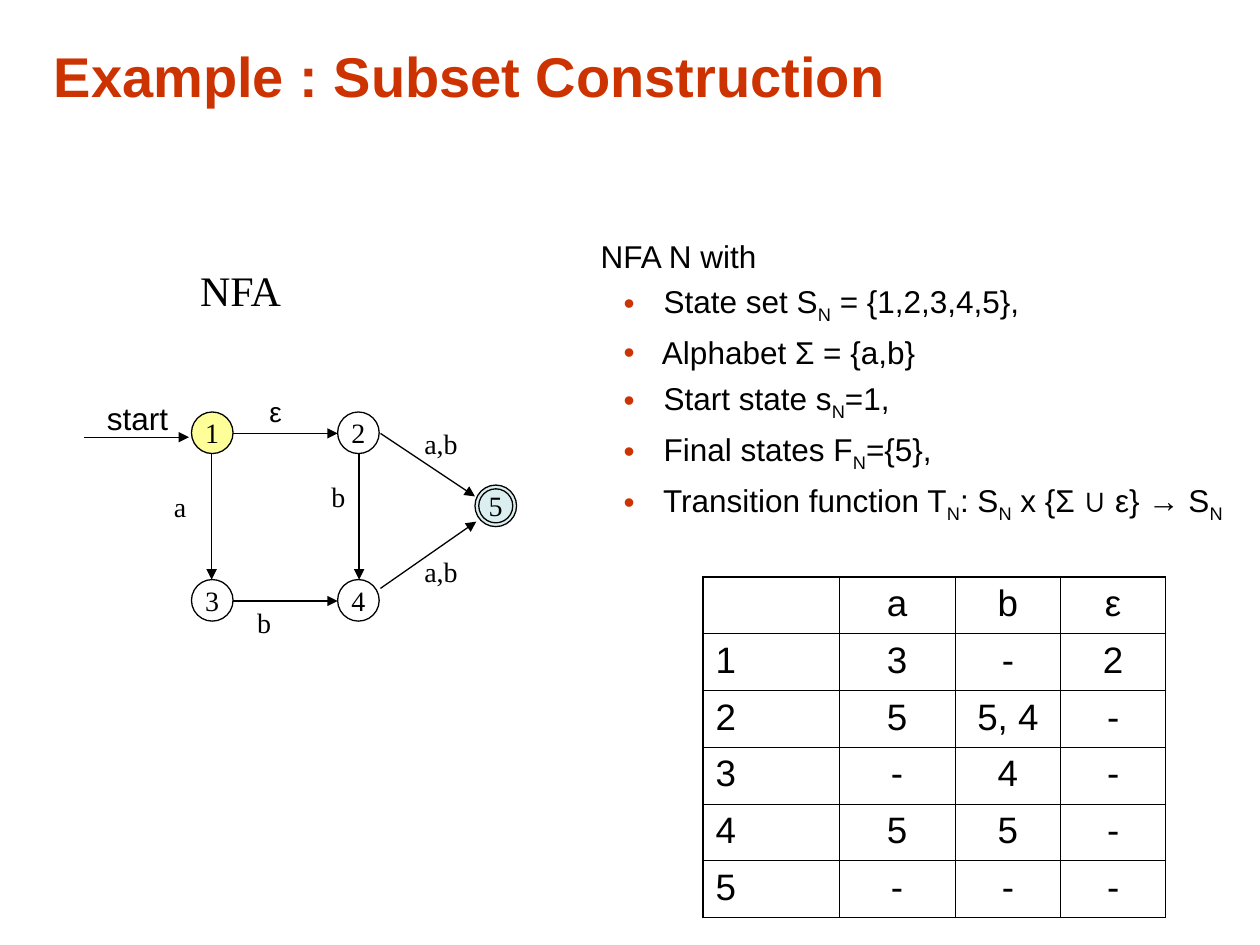
from lxml import etree
from pptx import Presentation
from pptx.dml.color import RGBColor
from pptx.enum.shapes import MSO_CONNECTOR, MSO_SHAPE
from pptx.enum.text import MSO_ANCHOR, MSO_AUTO_SIZE, PP_ALIGN
from pptx.oxml import parse_xml
from pptx.oxml.ns import nsdecls, qn
from pptx.util import Inches, Pt

LEFT, CENTER = PP_ALIGN.LEFT, PP_ALIGN.CENTER
MIDDLE = MSO_ANCHOR.MIDDLE
GROW, FIXED = MSO_AUTO_SIZE.SHAPE_TO_FIT_TEXT, MSO_AUTO_SIZE.NONE
OVAL = MSO_SHAPE.OVAL
STRAIGHT = MSO_CONNECTOR.STRAIGHT
SANS, SERIF = "Arial", "Times New Roman"
BLACK, WHITE, RUST = "000000", "FFFFFF", "CC3300"
YELLOW, TEAL = "FFFF99", "BBE0E3"
rgb = RGBColor.from_string


def style_paragraph(paragraph, size, font=SANS, align=LEFT, color=BLACK):
    paragraph.alignment = align
    paragraph.font.size = Pt(size)
    paragraph.font.name = font
    paragraph.font.color.rgb = rgb(color)


def add_text(text, left, top, width, height, size, font, align=LEFT, color=BLACK):
    """Add a one-line text box that grows with its text and return its text frame."""
    box = slide.shapes.add_textbox(Inches(left), Inches(top), Inches(width), Inches(height))
    frame = box.text_frame
    frame.word_wrap = False
    frame.auto_size = GROW
    frame.text = text
    style_paragraph(frame.paragraphs[0], size, font, align, color)
    return frame


prs = Presentation()
prs.slide_width, prs.slide_height = Inches(10), Inches(7.5)
slide = prs.slides.add_slide(prs.slide_layouts[6])

title = add_text("Example : Subset Construction", 0.33, 0.25, 9.4, 0.7, 32, SANS, color=RUST)
title.word_wrap = True
title.auto_size = FIXED
title.vertical_anchor = MIDDLE
title.paragraphs[0].font.bold = True

# Automaton: states, with an inner ring on the accepting one
NODE, RING = 0.33, 0.27
inset = (NODE - RING) / 2
states = [
    ("1", 1.52, 3.27, NODE, YELLOW),
    ("5", 3.77, 3.85, NODE, TEAL),
    ("2", 2.68, 3.27, NODE, WHITE),
    ("4", 2.68, 4.6, NODE, WHITE),
    ("3", 1.52, 4.6, NODE, WHITE),
    ("", 3.77 + inset, 3.85 + inset, RING, None),
]
for name, left, top, size, fill in states:
    state = slide.shapes.add_shape(OVAL, Inches(left), Inches(top), Inches(size), Inches(size))
    state.shadow.inherit = False
    state.line.color.rgb = rgb(BLACK)
    state.line.width = Pt(0.75)
    if fill:
        state.fill.solid()
        state.fill.fore_color.rgb = rgb(fill)
    else:
        state.fill.background()
    if fill == TEAL:
        tint = state.fill._xPr.find(".//" + qn("a:srgbClr"))
        etree.SubElement(tint, qn("a:alpha"), val="50000")
    if name:
        frame = state.text_frame
        frame.word_wrap = False
        frame.vertical_anchor = MIDDLE
        frame.text = name
        style_paragraph(frame.paragraphs[0], 16, SERIF, CENTER)

transitions = [
    (0.67, 3.47, 1.5, 3.47),
    (1.85, 3.44, 2.68, 3.44),
    (2.85, 3.6, 2.85, 4.6),
    (1.68, 3.6, 1.68, 4.6),
    (1.85, 4.77, 2.68, 4.77),
    (3.02, 4.67, 3.78, 4.14),
    (3.02, 3.44, 3.77, 3.94),
]
for ends in transitions:
    arrow = slide.shapes.add_connector(STRAIGHT, *map(Inches, ends))
    arrow.line.color.rgb = rgb(BLACK)
    arrow.line.width = Pt(0.75)
    etree.SubElement(arrow.line._get_or_add_ln(), qn("a:tailEnd"), type="triangle")
    etree.SubElement(arrow._element.spPr, qn("a:effectLst"))

add_text("NFA", 1.49, 2.05, 0.86, 0.5, 24, SERIF)
add_text("start", 0.75, 3.12, 0.72, 0.4, 18, SANS)
symbols = [
    ("ε", 2.04, 3.08, 0.29, SANS),
    ("b", 1.94, 4.76, 0.31, SERIF),
    ("a", 1.28, 3.84, 0.3, SERIF),
    ("b", 2.53, 3.76, 0.31, SERIF),
    ("a,b", 3.25, 3.34, 0.5, SERIF),
    ("a,b", 3.25, 4.35, 0.5, SERIF),
]
for symbol, left, top, width, font in symbols:
    add_text(symbol, left, top, width, 0.37, 16, font, CENTER)

# Definition: "_" stands before each subscript N
definition = add_text(" NFA N with", 4.6, 1.83, 5.32, 2.72, 18, SANS)
definition.word_wrap = True
parts = [
    " State set S_N = {1,2,3,4,5},",
    " Alphabet Σ = {a,b}",
    " Start state s_N=1,",
    " Final states F_N={5},",
    " Transition function T_N: S_N x {Σ ∪ ε} → S_N",
]
for part in parts:
    item = definition.add_paragraph()
    item.space_before = Pt(4.5)
    props = item._p.get_or_add_pPr()
    props.set("marL", str(Inches(0.5)))
    props.set("indent", str(-Inches(0.25)))
    bullet_color = etree.SubElement(props, qn("a:buClr"))
    etree.SubElement(bullet_color, qn("a:srgbClr"), val=RUST)
    etree.SubElement(props, qn("a:buFont"), typeface=SANS)
    etree.SubElement(props, qn("a:buChar"), char="•")
    style_paragraph(item, 18)
    base, *rest = part.split("_N")
    item.add_run().text = base
    for following in rest:
        subscript = item.add_run()
        subscript.text = "N"
        subscript.font._element.set("baseline", "-25000")
        if following:
            item.add_run().text = following

# Transition table
rows = [
    ["", "a", "b", "ε"],
    ["1", "3", "-", "2"],
    ["2", "5", "5, 4", "-"],
    ["3", "-", "4", "-"],
    ["4", "5", "5", "-"],
    ["5", "-", "-", "-"],
]
widths = [1.08, 0.92, 0.84, 0.83]
last_row, last_col = len(rows) - 1, len(widths) - 1
table = slide.shapes.add_table(
    len(rows), len(widths), Inches(5.58), Inches(4.58), Inches(sum(widths)), Inches(2.7)
).table
table.first_row = table.horz_banding = False
for column, width in zip(table.columns, widths):
    column.width = Inches(width)
for r, row in enumerate(rows):
    table.rows[r].height = Inches(0.45)
    for c, value in enumerate(row):
        cell = table.cell(r, c)
        cell.text = value
        style_paragraph(cell.text_frame.paragraphs[0], 21, align=CENTER if c else LEFT)
        cell.fill.background()
        outer_sides = {"L": c == 0, "R": c == last_col, "T": r == 0, "B": r == last_row}
        for place, (side, outer) in enumerate(outer_sides.items()):
            border = parse_xml(
                f'<a:ln{side} {nsdecls("a")} w="{Pt(1.08 if outer else 0.45)}">'
                f'<a:solidFill><a:srgbClr val="{BLACK}"/></a:solidFill></a:ln{side}>'
            )
            cell._tc.get_or_add_tcPr().insert(place, border)

prs.save("out.pptx")
